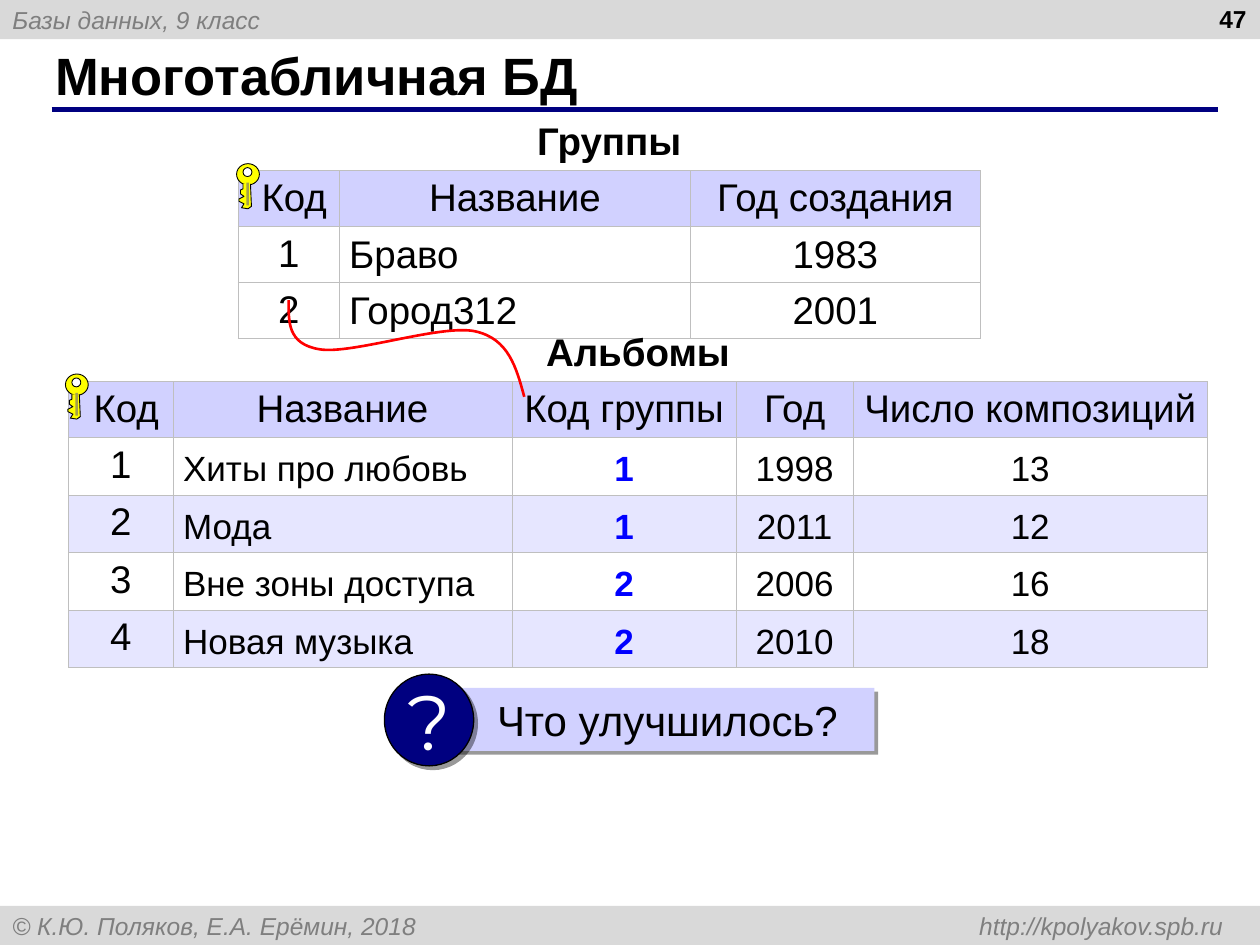
from lxml.etree import SubElement
from pptx import Presentation
from pptx.dml.color import RGBColor
from pptx.enum.shapes import MSO_CONNECTOR as Connector, MSO_SHAPE as Preset
from pptx.enum.text import MSO_ANCHOR as Anchor, MSO_AUTO_SIZE as AutoSize, PP_ALIGN as Align
from pptx.oxml import parse_xml
from pptx.oxml.ns import nsdecls, qn
from pptx.util import Cm, Pt

COLORS = {
    "black": "000000", "white": "FFFFFF", "bar": "D9D9D9", "bar_text": "7F7F7F",
    "navy": "000080", "lilac": "D1D1FF", "band": "E6E6FF", "border": "BFBFBF",
    "blue": "0000FF", "red": "FF0000", "yellow": "FFFF00", "slot": "A5A149",
}
PLAIN_TABLE_STYLE = "{2D5ABB26-0587-4C30-8999-92F81FD0307C}"
SLIDE_WIDTH, SLIDE_HEIGHT, BAR_HEIGHT = 25.4, 19.05, 0.79
HEADER_HEIGHT = 1.13
GROUPS = [
    ["Код", "Название", "Год создания"],
    ["1", "Браво", "1983"],
    ["2", "Город312", "2001"],
]
ALBUMS = [
    ["Код", "Название", "Код группы", "Год", "Число композиций"],
    ["1", "Хиты про любовь", "1", "1998", "13"],
    ["2", "Мода", "1", "2011", "12"],
    ["3", "Вне зоны доступа", "2", "2006", "16"],
    ["4", "Новая музыка", "2", "2010", "18"],
]
KEY_BLADE = [(0.28, 0.41), (0.3, 0.86), (0.23, 0.91), (0.1, 0.89), (0.15, 0.81), (0.05, 0.76),
             (0.05, 0.71), (0.15, 0.66), (0.08, 0.61), (0.08, 0.53), (0.13, 0.51), (0.13, 0.41)]
LINK_CURVE = [(10.57, 8), (10.41, 7.42), (10.26, 6.83), (9.58, 6.68), (8.89, 6.53),
              (7.06, 7.16), (6.43, 7.04), (5.79, 6.93), (5.82, 6.48), (5.82, 6.05)]


def rgb(name):
    return RGBColor.from_string(COLORS[name])


def write(frame, text, size, color="black", font="Arial", bold=False, italic=False,
          align=Align.LEFT, anchor=Anchor.MIDDLE):
    frame.text = text
    frame.vertical_anchor = anchor
    paragraph = frame.paragraphs[0]
    paragraph.alignment = align
    style = paragraph.runs[0].font
    style.size, style.name, style.bold, style.italic = Pt(size), font, bold, italic
    style.color.rgb = rgb(color)
    return paragraph


def paint(shape, fill, line=None, width=0.5):
    shape.shadow.inherit = False
    shape.fill.solid()
    shape.fill.fore_color.rgb = rgb(fill)
    if line:
        shape.line.color.rgb = rgb(line)
        shape.line.width = Pt(width)
    else:
        shape.line.fill.background()


def add_block(shapes, preset, left, top, width, height, fill, line=None, line_width=0.5):
    shape = shapes.add_shape(preset, Cm(left), Cm(top), Cm(width), Cm(height))
    paint(shape, fill, line, line_width)
    return shape


def add_bar(slide, top, text):
    """Add a full-width grey strip; a tab in its text leads to the right edge."""
    bar = add_block(slide.shapes, Preset.RECTANGLE, 0, top, SLIDE_WIDTH, BAR_HEIGHT, "bar")
    paragraph = write(bar.text_frame, text, 14, "bar_text", italic=True)
    tabs = SubElement(paragraph._p.get_or_add_pPr(), qn("a:tabLst"))
    SubElement(tabs, qn("a:tab"), pos=str(Cm(24.41)), algn="r")


def add_title(slide, text):
    title = slide.shapes.title
    title.left, title.top, title.width, title.height = Cm(0.86), Cm(0.84), Cm(23.27), Cm(1.32)
    title.text_frame.auto_size = AutoSize.NONE
    write(title.text_frame, text, 30, bold=True)
    rule = slide.shapes.add_connector(Connector.STRAIGHT, Cm(1.04), Cm(2.21), Cm(24.56), Cm(2.21))
    rule.line.color.rgb = rgb("navy")
    rule.line.width = Pt(3)
    SubElement(rule._element.spPr, qn("a:effectLst"))


def add_slide_number(slide, number):
    box = slide.shapes.add_textbox(Cm(19.46), Cm(-0.05), Cm(5.92), Cm(1.32))
    box.text_frame.word_wrap = True
    write(box.text_frame, number, 14, bold=True, align=Align.RIGHT, anchor=Anchor.TOP)


def set_borders(cell, sides):
    properties = cell._tc.get_or_add_tcPr()
    for index, side in enumerate(sides):
        properties.insert(index, parse_xml(
            f'<a:ln{side} {nsdecls("a")} w="{Pt(0.45)}"><a:solidFill>'
            f'<a:srgbClr val="{COLORS["border"]}"/></a:solidFill></a:ln{side}>'))


def format_cell(cell, text, anchor, fill=None, sides="LRTB", **style):
    """Fill a cell, with vertical margins small enough that no row has to grow."""
    cell.margin_left = cell.margin_right = Cm(0.2)
    cell.margin_top = Cm(0.12 if anchor == Anchor.TOP else 0.06)
    cell.margin_bottom = Cm(0.04)
    paragraph = write(cell.text_frame, text, **style)
    cell.vertical_anchor = anchor
    if fill:
        cell.fill.solid()
        cell.fill.fore_color.rgb = rgb(fill)
    else:
        cell.fill.background()
    set_borders(cell, sides)
    return paragraph


def add_data_table(slide, name, rows, left, top, widths, row_height,
                   size=22, spacing=None, banded=False, link_column=None):
    """Add a table with a merged caption row, a header row and data rows."""
    heights = [HEADER_HEIGHT] * 2 + [row_height] * (len(rows) - 1)
    table = slide.shapes.add_table(len(heights), len(widths), Cm(left), Cm(top),
                                   Cm(sum(widths)), Cm(sum(heights))).table
    table.first_row = table.horz_banding = False
    table._tbl.tblPr.find(qn("a:tableStyleId")).text = PLAIN_TABLE_STYLE
    for column, width in zip(table.columns, widths):
        column.width = Cm(width)
    for row, height in zip(table.rows, heights):
        row.height = Cm(height)
    caption = table.cell(0, 0)
    caption.merge(table.cell(0, len(widths) - 1))
    format_cell(caption, name, Anchor.TOP, sides="B", size=22, bold=True, align=Align.CENTER)
    for row_index, values in enumerate(rows):
        header = row_index == 0
        fill = "lilac" if header else "band" if banded and row_index % 2 == 0 else None
        for column_index, value in enumerate(values):
            plain = header or column_index == 0
            linked = not header and column_index == link_column
            paragraph = format_cell(
                table.cell(row_index + 1, column_index), value,
                Anchor.TOP if plain else Anchor.MIDDLE, fill,
                size=22 if plain else size, bold=linked, color="blue" if linked else "black",
                align=Align.LEFT if column_index == 1 and not header else Align.CENTER)
            if spacing and not plain:
                paragraph.line_spacing = spacing
    table.cell(1, 0).margin_left = Cm(0.42)


def add_outline(shapes, points):
    builder = shapes.build_freeform(Cm(points[0][0]), Cm(points[0][1]))
    builder.add_line_segments([(Cm(x), Cm(y)) for x, y in points[1:]], close=False)
    return builder.convert_to_shape()


def add_key(slide, left, top):
    shapes = slide.shapes.add_group_shape().shapes
    add_block(shapes, Preset.OVAL, left, top, 0.46, 0.43, "yellow", "black")
    add_block(shapes, Preset.OVAL, left + 0.13, top + 0.08, 0.18, 0.18, "white", "black")
    blade = add_outline(shapes, [(left + x, top + y) for x, y in KEY_BLADE])
    paint(blade, "yellow", "black")
    add_block(shapes, Preset.RECTANGLE, left + 0.2, top + 0.38, 0.05, 0.46, "slot")


def add_curve(slide, points):
    """Draw cubic segments: a start, then two controls and an end for each segment."""
    curve = add_outline(slide.shapes, points)
    curve.shadow.inherit = False
    curve.fill.background()
    curve.line.color.rgb = rgb("red")
    curve.line.width = Pt(1.5)
    path = next(curve._element.iter(qn("a:path")))
    lines = path.findall(qn("a:lnTo"))
    for start in range(0, len(lines), 3):
        segment = SubElement(path, qn("a:cubicBezTo"))
        for line in lines[start:start + 3]:
            segment.append(line[0])
            path.remove(line)


def add_hard_shadow(shape):
    effects = shape._element.spPr.find(qn("a:effectLst"))
    effects.append(parse_xml(
        f'<a:outerShdw {nsdecls("a")} blurRad="0" dist="{Pt(3)}" dir="2700000" algn="tl" '
        f'rotWithShape="0"><a:srgbClr val="{COLORS["black"]}"><a:alpha val="40000"/>'
        '</a:srgbClr></a:outerShdw>'))


def add_question(slide, text):
    shapes = slide.shapes.add_group_shape().shapes
    box = add_block(shapes, Preset.RECTANGLE, 9.04, 13.87, 8.59, 1.27, "lilac")
    badge = add_block(shapes, Preset.OVAL, 7.75, 13.59, 1.8, 1.85, "navy", "black", 0.75)
    for shape in (box, badge):
        add_hard_shadow(shape)
    write(box.text_frame, text, 24)
    box.text_frame.margin_left = Cm(0.98)
    write(badge.text_frame, "?", 44, "white", "Montserrat", align=Align.CENTER)
    badge.text_frame.word_wrap = False


def main():
    presentation = Presentation()
    presentation.slide_width, presentation.slide_height = Cm(SLIDE_WIDTH), Cm(SLIDE_HEIGHT)
    slide = presentation.slides.add_slide(presentation.slide_layouts[5])
    add_bar(slide, 0, "Базы данных, 9 класс")
    add_bar(slide, SLIDE_HEIGHT - BAR_HEIGHT,
            "© К.Ю. Поляков, Е.А. Ерёмин, 2018\thttp://kpolyakov.spb.ru")
    add_title(slide, "Многотабличная БД")
    add_slide_number(slide, "47")
    add_data_table(slide, "Группы", GROUPS, 4.8, 2.31, [2.04, 7.08, 5.84], 1.13)
    add_key(slide, 4.77, 3.3)
    add_data_table(slide, "Альбомы", ALBUMS, 1.38, 6.56, [2.11, 6.83, 4.52, 2.36, 7.14], 1.16,
                   size=20, spacing=1.15, banded=True, link_column=2)
    add_key(slide, 1.32, 7.54)
    add_curve(slide, LINK_CURVE)
    add_question(slide, "Что улучшилось?")
    presentation.save("out.pptx")


if __name__ == "__main__":
    main()
